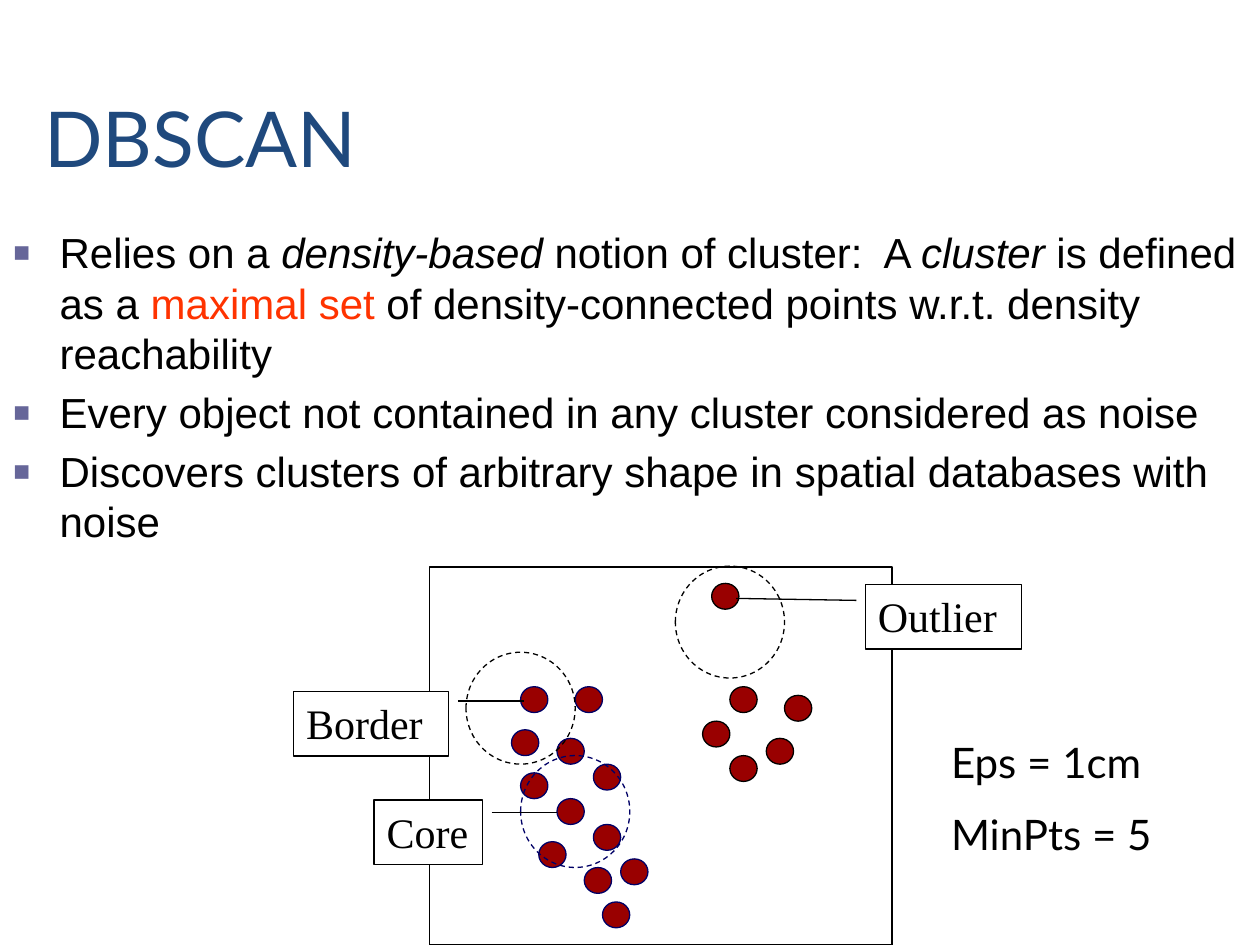
import pptx
import pptx.util
import pptx.dml.color
import pptx.enum.dml
import pptx.enum.shapes
import pptx.enum.text
import pptx.oxml
import pptx.oxml.ns

Pt = pptx.util.Pt
RGBColor = pptx.dml.color.RGBColor
MSO_SHAPE = pptx.enum.shapes.MSO_SHAPE
MSO_ANCHOR = pptx.enum.text.MSO_ANCHOR
MSO_AUTO_SIZE = pptx.enum.text.MSO_AUTO_SIZE
PP_ALIGN = pptx.enum.text.PP_ALIGN

BLACK = RGBColor(0x00, 0x00, 0x00)
WHITE = RGBColor(0xFF, 0xFF, 0xFF)
NAVY = RGBColor(0x00, 0x00, 0x66)
DARK_RED = RGBColor(0x99, 0x00, 0x00)
ORANGE_RED = RGBColor(0xFF, 0x33, 0x00)
TITLE_BLUE = RGBColor(0x1F, 0x49, 0x7D)
BULLET_PURPLE = RGBColor(0x66, 0x66, 0x99)

TITLE = "DBSCAN"
BULLETS = [
    [
        ("Relies on a ", "plain"),
        ("density-based", "italic"),
        (" notion of cluster:  A ", "plain"),
        ("cluster", "italic"),
        (" is defined as a ", "plain"),
        ("maximal set", "highlight"),
        (" of density-connected points w.r.t. density reachability", "plain"),
    ],
    [("Every object not contained in any cluster considered as noise", "plain")],
    [("Discovers clusters of arbitrary shape in spatial databases with noise", "plain")],
]
PARAMETERS = ["Eps = 1cm", "MinPts = 5"]

GRID_LEFT, GRID_TOP = 292.3, 392.4
CELL_WIDTH, CELL_HEIGHT = 5.2, 4.92
DOT_CELLS = (3, 3)
NEIGHBORHOOD_CELLS = (12, 13)
FRAME = (245.5, 324, 264.2, 216)

LEFT_CLUSTER = [(1, 0), (0, 5), (5, 6), (7, 0), (9, 9), (1, 10), (5, 13),
                (3, 18), (8, 21), (10, 25), (9, 16), (12, 20)]
RIGHT_CLUSTER = [(24, 0), (21, 4), (28, 6), (30, 1), (24, 8)]
OUTLIERS = [(22, -12)]
NEIGHBORHOODS = [((-5, -4), BLACK), ((1, 8), NAVY), ((18, -14), BLACK)]

CALLOUTS = [
    ("Core", (213.8, 457.2, 62, 36.7), (0.188, 1.083, 0.188, 1.688)),
    ("Border", (167.8, 395.3, 88.6, 36.7), (0.145, 1.059, 0.145, 1.485)),
    ("Outlier", (494.6, 334.1, 89.3, 36.7), (0.245, -0.058, 0.214, -0.828)),
]


def set_font(font, name, size, color):
    font.name = name
    font.size = Pt(size)
    font.color.rgb = color


def add_outlined(slide, kind, box, fill, line_color):
    shape = slide.shapes.add_shape(kind, *map(Pt, box))
    shape.shadow.inherit = False
    if fill is None:
        shape.fill.background()
    else:
        shape.fill.solid()
        shape.fill.fore_color.rgb = fill
    shape.line.color.rgb = line_color
    shape.line.width = Pt(0.75)
    return shape


def grid_box(cell, cells):
    column, row = cell
    columns, rows = cells
    return (GRID_LEFT + column * CELL_WIDTH, GRID_TOP + row * CELL_HEIGHT,
            columns * CELL_WIDTH, rows * CELL_HEIGHT)


def set_bullet(paragraph):
    properties = paragraph._p.get_or_add_pPr()
    properties.set("marL", str(Pt(27)))
    properties.set("indent", str(-Pt(27)))
    namespace = pptx.oxml.ns.nsdecls("a")
    for xml in (
        f'<a:buClr {namespace}><a:srgbClr val="{BULLET_PURPLE}"/></a:buClr>',
        f'<a:buSzPct {namespace} val="130000"/>',
        f'<a:buFont {namespace} typeface="Arial"/>',
        f'<a:buChar {namespace} char="▪"/>',
    ):
        properties.append(pptx.oxml.parse_xml(xml))


def add_text_box(slide, box, paragraph_count):
    frame = slide.shapes.add_textbox(*map(Pt, box)).text_frame
    frame.word_wrap = True
    for _ in range(paragraph_count - 1):
        frame.add_paragraph()
    return frame


def add_title(slide):
    title = slide.shapes.title
    title.left, title.top, title.width, title.height = map(Pt, (18, 30, 570, 78))
    frame = title.text_frame
    frame.text = TITLE
    frame.auto_size = MSO_AUTO_SIZE.NONE
    frame.vertical_anchor = MSO_ANCHOR.BOTTOM
    paragraph = frame.paragraphs[0]
    paragraph.alignment = PP_ALIGN.LEFT
    set_font(paragraph.font, "Lato", 44, TITLE_BLUE)


def add_bullets(slide):
    frame = add_text_box(slide, (0, 126, 720, 174), len(BULLETS))
    for paragraph, runs in zip(frame.paragraphs, BULLETS):
        paragraph.space_before = Pt(4.8)
        set_bullet(paragraph)
        for text, style in runs:
            run = paragraph.add_run()
            run.text = text
            set_font(run.font, "Arial", 24, ORANGE_RED if style == "highlight" else BLACK)
            run.font.italic = style == "italic"


def add_diagram(slide):
    for cells, line_color in ((LEFT_CLUSTER, NAVY), (OUTLIERS + RIGHT_CLUSTER, BLACK)):
        for cell in cells:
            add_outlined(slide, MSO_SHAPE.OVAL, grid_box(cell, DOT_CELLS), DARK_RED, line_color)
    add_outlined(slide, MSO_SHAPE.RECTANGLE, FRAME, None, BLACK)
    for cell, line_color in NEIGHBORHOODS:
        circle = add_outlined(slide, MSO_SHAPE.OVAL, grid_box(cell, NEIGHBORHOOD_CELLS),
                              None, line_color)
        circle.line.dash_style = pptx.enum.dml.MSO_LINE.DASH
    for text, box, adjustments in CALLOUTS:
        callout = add_outlined(slide, MSO_SHAPE.LINE_CALLOUT_1, box, WHITE, BLACK)
        for index, value in enumerate(adjustments):
            callout.adjustments[index] = value
        frame = callout.text_frame
        frame.text = text
        frame.vertical_anchor = MSO_ANCHOR.TOP
        frame.auto_size = MSO_AUTO_SIZE.SHAPE_TO_FIT_TEXT
        paragraph = frame.paragraphs[0]
        paragraph.alignment = PP_ALIGN.LEFT
        set_font(paragraph.font, "Times New Roman", 24, BLACK)


def add_parameters(slide):
    frame = add_text_box(slide, (536.4, 417.6, 129.6, 79.2), len(PARAMETERS))
    frame.auto_size = MSO_AUTO_SIZE.SHAPE_TO_FIT_TEXT
    for paragraph, text in zip(frame.paragraphs, PARAMETERS):
        paragraph.text = text
        paragraph.space_before = Pt(12)
        set_font(paragraph.font, "Lato", 24, BLACK)


def main():
    presentation = pptx.Presentation()
    presentation.slide_width, presentation.slide_height = Pt(720), Pt(540)
    slide = presentation.slides.add_slide(presentation.slide_layouts.get_by_name("Title Only"))
    add_title(slide)
    add_bullets(slide)
    add_diagram(slide)
    add_parameters(slide)
    presentation.save("out.pptx")


if __name__ == "__main__":
    main()
